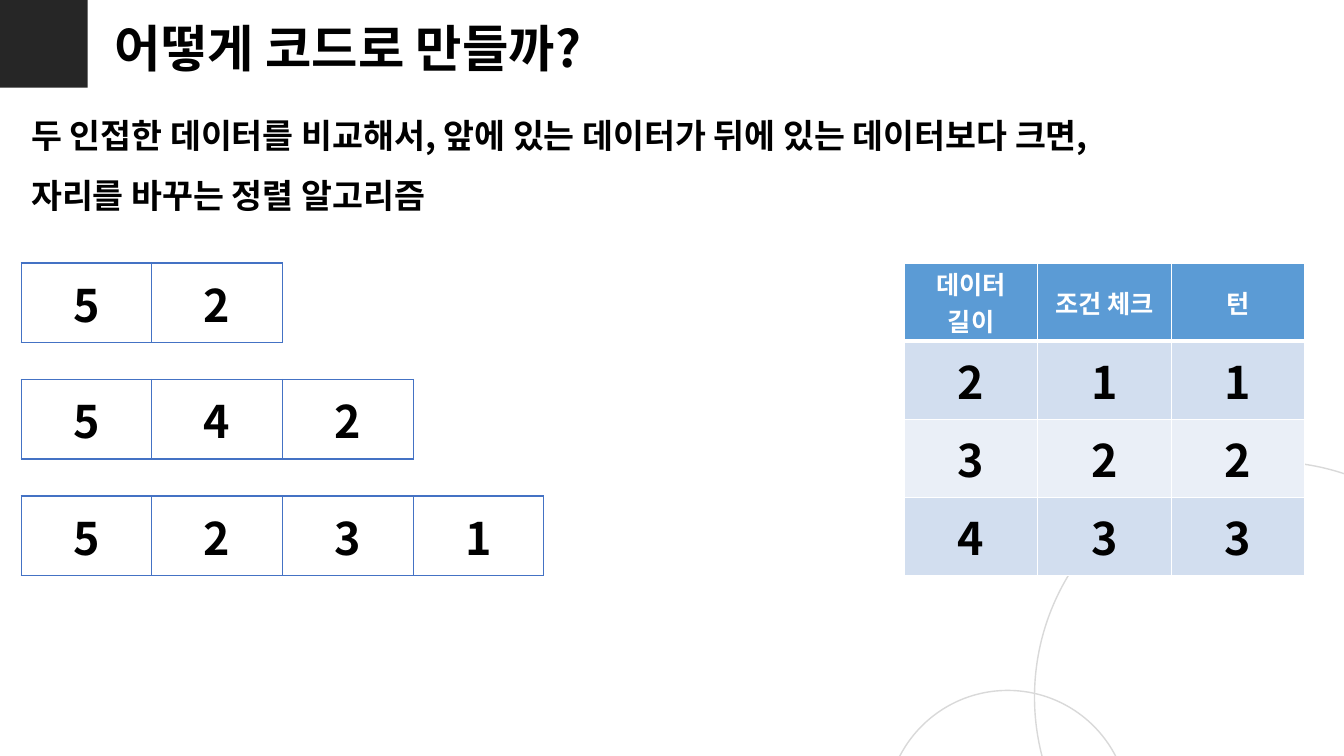
from dataclasses import dataclass

from lxml.etree import SubElement
from pptx import Presentation
from pptx.dml.color import RGBColor
from pptx.enum.shapes import MSO_SHAPE
from pptx.enum.text import MSO_ANCHOR, PP_ALIGN
from pptx.oxml import parse_xml
from pptx.oxml.ns import nsdecls, qn
from pptx.util import Inches, Pt


@dataclass(frozen=True)
class Theme:
    font: str = "Noto Sans CJK SC"
    ink: str = "000000"
    paper: str = "FFFFFF"
    corner: str = "262626"
    arc: str = "D9D9D9"
    array_line: str = "4472C4"
    header: str = "5B9BD5"
    bands: tuple = ("D2DEEF", "EAEFF7")
    title: int = 36
    body: int = 24
    value: int = 32
    label: int = 18


THEME = Theme()
WIDTH, HEIGHT = Inches(13.33), Inches(7.5)
MARGIN, ARRAYS_TOP, ARRAY_STEP = 1.58, 34.8, 15.4
CELL_WIDTH, CELL_HEIGHT = 9.72, 10.53

ARRAYS = (("5", "2"), ("5", "4", "2"), ("5", "2", "3", "1"))
TURNS = (
    ("데이터\n길이", "조건 체크", "턴"),
    ("2", "1", "1"),
    ("3", "2", "2"),
    ("4", "3", "3"),
)


def across(percent):
    return int(WIDTH * percent / 100)


def down(percent):
    return int(HEIGHT * percent / 100)


def write(frame, text, size, color=THEME.ink, **paragraph_format):
    """Fill a text frame in the theme font, for Latin and Korean alike."""
    frame.text = text
    for paragraph in frame.paragraphs:
        for name, value in paragraph_format.items():
            setattr(paragraph, name, value)
        for run in paragraph.runs:
            for name, value in {"name": THEME.font, "size": Pt(size), "bold": True}.items():
                setattr(run.font, name, value)
            run.font.color.rgb = RGBColor.from_string(color)
            east_asian = SubElement(run._r.get_or_add_rPr(), qn("a:ea"))
            east_asian.set("typeface", THEME.font)


def add_text(slide, text, left, top, width, height, size, **paragraph_format):
    box = slide.shapes.add_textbox(across(left), down(top), across(width), down(height))
    box.text_frame.word_wrap = True
    write(box.text_frame, text, size, **paragraph_format)


def add_circle(slide, left, top, diameter):
    side = across(diameter)
    circle = slide.shapes.add_shape(MSO_SHAPE.OVAL, across(left), down(top), side, side)
    circle.shadow.inherit = False
    circle.fill.background()
    circle.line.color.rgb = RGBColor.from_string(THEME.arc)
    circle.line.width = Pt(1)


def add_corner(slide, side):
    corner = slide.shapes.add_shape(MSO_SHAPE.RECTANGLE, 0, 0, across(side), across(side))
    corner.shadow.inherit = False
    corner.fill.solid()
    corner.fill.fore_color.rgb = RGBColor.from_string(THEME.corner)
    corner.line.fill.background()


def set_borders(cell, color, bottom):
    properties = cell._tc.get_or_add_tcPr()
    for index, (side, points) in enumerate({"L": 1, "R": 1, "T": 1, "B": bottom}.items()):
        properties.insert(index, parse_xml(
            f'<a:ln{side} {nsdecls("a")} w="{Pt(points)}"><a:solidFill>'
            f'<a:srgbClr val="{color}"/></a:solidFill></a:ln{side}>'))


def fill_cell(cell, text, size, color, fill, border, bottom=1):
    cell.vertical_anchor = MSO_ANCHOR.MIDDLE
    cell.margin_top = cell.margin_bottom = Inches(0.02)
    write(cell.text_frame, text, size, color, alignment=PP_ALIGN.CENTER)
    if fill:
        cell.fill.solid()
        cell.fill.fore_color.rgb = RGBColor.from_string(fill)
    else:
        cell.fill.background()
    set_borders(cell, border, bottom)


def add_grid(slide, rows, columns, left, top, width, height):
    return slide.shapes.add_table(
        rows, columns, across(left), down(top), across(width), down(height)).table


def add_array(slide, values, top):
    array = add_grid(slide, 1, len(values), MARGIN, top, CELL_WIDTH * len(values), CELL_HEIGHT)
    for cell, value in zip(array.iter_cells(), values):
        fill_cell(cell, value, THEME.value, THEME.ink, None, THEME.array_line)


def add_turns(slide, rows, left, top, width, height):
    turns = add_grid(slide, len(rows), len(rows[0]), left, top, width, height)
    for r, row in enumerate(rows):
        if r == 0:
            style = {"size": THEME.label, "color": THEME.paper, "fill": THEME.header, "bottom": 3}
        else:
            style = {"size": THEME.value, "color": THEME.ink, "fill": THEME.bands[(r - 1) % 2]}
        for c, text in enumerate(row):
            fill_cell(turns.cell(r, c), text, border=THEME.paper, **style)


def main():
    deck = Presentation()
    deck.slide_width, deck.slide_height = WIDTH, HEIGHT
    slide = deck.slides.add_slide(deck.slide_layouts[6])

    add_circle(slide, 76.97, 61.07, 35.03)
    add_circle(slide, 65.94, 91.33, 18.08)
    add_corner(slide, 6.53)
    add_text(slide, "두 인접한 데이터를 비교해서, 앞에 있는 데이터가 뒤에 있는 데이터보다 크면, \v"
             "자리를 바꾸는 정렬 알고리즘", MARGIN, 11.87, 95.5, 16.67, THEME.body, line_spacing=1.5)
    add_text(slide, "어떻게 코드로 만들까?", 7.8, 1.6, 48, 9.47, THEME.title)
    for index, values in enumerate(ARRAYS):
        add_array(slide, values, ARRAYS_TOP + index * ARRAY_STEP)
    add_turns(slide, TURNS, 67.29, ARRAYS_TOP, 29.78, 41.33)

    deck.save("out.pptx")


if __name__ == "__main__":
    main()
